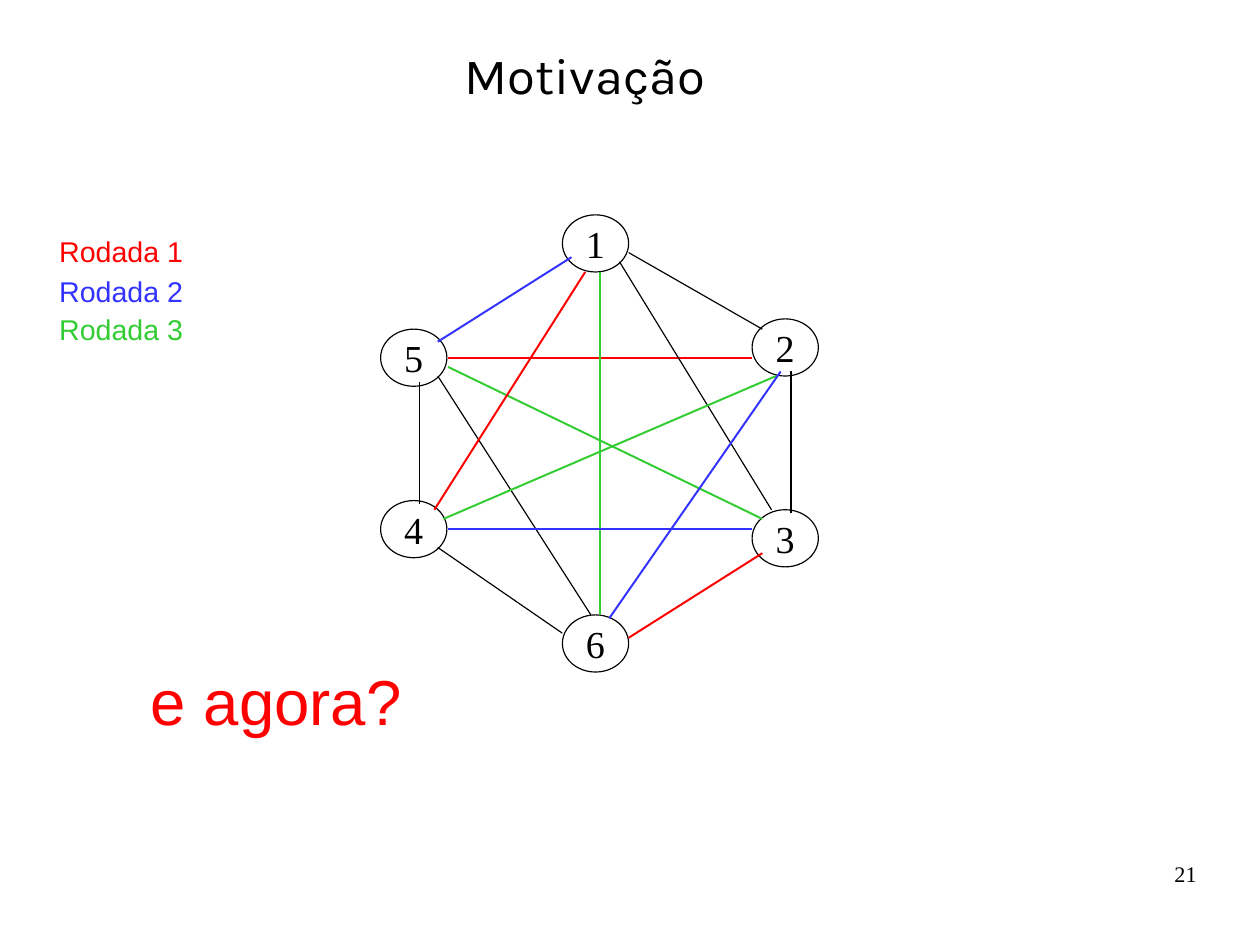
"""Build the "Motivação" slide: a six-node tournament graph coloured by round."""
from lxml import etree
from pptx import Presentation
from pptx.dml.color import RGBColor
from pptx.enum.shapes import MSO_CONNECTOR, MSO_SHAPE
from pptx.enum.text import MSO_ANCHOR, MSO_AUTO_SIZE, PP_ALIGN
from pptx.oxml.ns import qn
from pptx.util import Inches, Pt

STRAIGHT = MSO_CONNECTOR.STRAIGHT
OVAL = MSO_SHAPE.OVAL
TOP, MIDDLE = MSO_ANCHOR.TOP, MSO_ANCHOR.MIDDLE
CENTER, RIGHT = PP_ALIGN.CENTER, PP_ALIGN.RIGHT
NO_AUTOFIT = MSO_AUTO_SIZE.NONE

BLACK = RGBColor(0x00, 0x00, 0x00)
WHITE = RGBColor(0xFF, 0xFF, 0xFF)
RED = RGBColor(0xFF, 0x00, 0x00)
BLUE = RGBColor(0x33, 0x33, 0xFF)
GREEN = RGBColor(0x33, 0xCC, 0x33)

CM_PER_INCH = 2.54
NODE_WIDTH, NODE_HEIGHT = 0.58, 0.5
NODES = [
    ("4", 3.33, 4.38),
    ("3", 6.58, 4.46),
    ("2", 6.58, 2.79),
    ("1", 4.92, 1.88),
    ("5", 3.33, 2.88),
    ("6", 4.92, 5.38),
]
EDGES = [
    (RED, 3.92, 3.13, 6.58, 3.13),
    (BLUE, 3.83, 2.99, 5, 2.25),
    (GREEN, 3.92, 3.21, 6.67, 4.54),
    (BLACK, 3.67, 4.41, 3.67, 3.34),
    (BLACK, 3.83, 3.29, 5.17, 5.38),
    (RED, 5.12, 2.38, 3.8, 4.46),
    (GREEN, 5.25, 2.38, 5.25, 5.38),
    (BLACK, 5.42, 2.29, 6.75, 4.46),
    (BLACK, 5.5, 2.21, 6.67, 2.88),
    (GREEN, 6.79, 3.29, 3.88, 4.54),
    (BLUE, 5.33, 5.41, 6.83, 3.25),
    (BLUE, 3.92, 4.63, 6.58, 4.63),
    (BLACK, 3.83, 4.79, 4.92, 5.54),
    (RED, 5.5, 5.58, 6.67, 4.84),
    (BLACK, 6.92, 4.49, 6.92, 3.25),
]
LABELS = [
    ("e agora?", 1.22, 5.74, 2.39, 0.72, 40, RED),
    ("Rodada 1", 0.42, 2, 1.28, 0.38, 18, RED),
    ("Rodada 2", 0.42, 2.35, 1.28, 0.38, 18, BLUE),
    ("Rodada 3", 0.42, 2.68, 1.28, 0.38, 18, GREEN),
]


def write(shape, text, font, size, color, align=CENTER, anchor=TOP, wrap=False):
    frame = shape.text_frame
    frame.auto_size = NO_AUTOFIT
    frame.word_wrap = wrap
    frame.vertical_anchor = anchor
    para = frame.paragraphs[0]
    para.alignment = align
    span = para.add_run()
    span.text = text
    span.font.name = font
    span.font.size = Pt(size)
    span.font.color.rgb = color


deck = Presentation()
deck.slide_width = Inches(28 / CM_PER_INCH)
deck.slide_height = Inches(21 / CM_PER_INCH)
page = deck.slides.add_slide(deck.slide_layouts[5])
shapes = page.shapes

title = shapes.title
title.left, title.top = Inches(1.58), Inches(0.3)
title.width, title.height = Inches(7.08), Inches(0.7)
write(title, "Motivação", "Karla", 32, BLACK, anchor=MIDDLE, wrap=True)

for number, left, top in NODES:
    node = shapes.add_shape(
        OVAL, Inches(left), Inches(top), Inches(NODE_WIDTH), Inches(NODE_HEIGHT)
    )
    node.name = f"Node {number}"
    node.shadow.inherit = False
    node.fill.solid()
    node.fill.fore_color.rgb = WHITE
    node.line.color.rgb = BLACK
    node.line.width = Pt(0.75)
    write(node, number, "Times New Roman", 24, BLACK, anchor=MIDDLE)

for color, *ends in EDGES:
    edge = shapes.add_connector(STRAIGHT, *[Inches(end) for end in ends])
    edge.line.color.rgb = color
    edge.line.width = Pt(0.75 if color == BLACK else 1.25)
    etree.SubElement(edge._element.spPr, qn("a:effectLst"))

for text, left, top, width, height, size, color in LABELS:
    label = shapes.add_textbox(
        Inches(left), Inches(top), Inches(width), Inches(height)
    )
    write(label, text, "Arial", size, color)

page_number = shapes.add_textbox(
    Inches(7.9), Inches(7.53), Inches(2.57), Inches(0.57)
)
number_frame = page_number.text_frame
number_frame.margin_left = number_frame.margin_right = 0
number_frame.margin_top = number_frame.margin_bottom = 0
write(page_number, "21", "Times New Roman", 14, BLACK, align=RIGHT, wrap=True)

deck.save("out.pptx")
